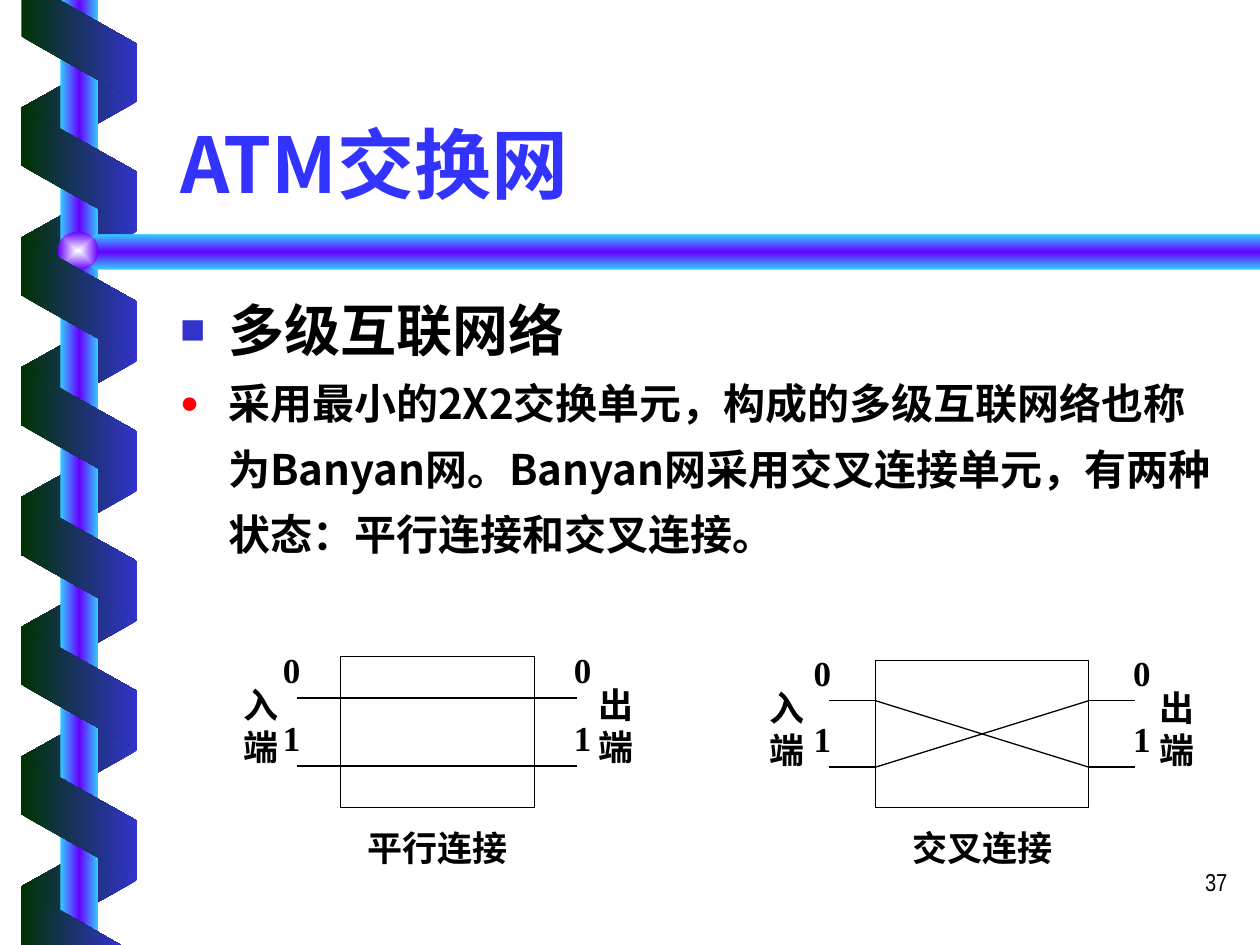
from dataclasses import dataclass

from pptx import Presentation
from pptx.dml.color import RGBColor
from pptx.enum.shapes import MSO_CONNECTOR, MSO_SHAPE
from pptx.enum.text import MSO_ANCHOR, MSO_AUTO_SIZE, PP_ALIGN
from pptx.oxml import parse_xml
from pptx.oxml.ns import nsdecls, qn
from pptx.util import Inches, Pt

RECT, OVAL = MSO_SHAPE.RECTANGLE, MSO_SHAPE.OVAL
SLANT = MSO_SHAPE.PARALLELOGRAM
STRAIGHT = MSO_CONNECTOR.STRAIGHT
LEFT, CENTER, RIGHT = PP_ALIGN.LEFT, PP_ALIGN.CENTER, PP_ALIGN.RIGHT
TOP, MIDDLE, BOTTOM = MSO_ANCHOR.TOP, MSO_ANCHOR.MIDDLE, MSO_ANCHOR.BOTTOM
FIXED = MSO_AUTO_SIZE.NONE


@dataclass(frozen=True)
class Theme:
    """Colours, fonts and type sizes of the slide."""
    ink: str = "000000"
    head: str = "3333FF"
    square: str = "3333CC"
    dot: str = "FF0000"
    strip: tuple = ("003300", "3333CC")
    pole: tuple = ("33CCFF", "6600FF", "33CCFF")
    ball: tuple = ("FEFFFF", "6600FF")
    sans: str = "Noto Sans CJK SC"
    serif: str = "Times New Roman"
    narrow: str = "Arial Narrow"
    title: int = 44
    topic: int = 32
    body: int = 24
    label: int = 20
    page: int = 14
    line: float = 0.75


THEME = Theme()


def style(para, size, face, color=THEME.ink, bold=True):
    """Format every run of a paragraph."""
    for run in para.runs:
        font = run.font
        font.size, font.bold, font.name = Pt(size), bold, face
        font.color.rgb = RGBColor.from_string(color)
        east = parse_xml(f'<a:ea {nsdecls("a")} typeface="{THEME.sans}"/>')
        run.font._element.find(qn("a:latin")).addnext(east)


def blend(shape, colors, angle=0, ray=False):
    """Fill a shape with evenly spaced gradient stops and no outline."""
    gap = 100000 // (len(colors) - 1)
    stops = "".join(f'<a:gs pos="{i * gap}"><a:srgbClr val="{c}"/></a:gs>'
                    for i, c in enumerate(colors))
    kind = f'<a:lin ang="{angle * 60000}" scaled="0"/>'
    if ray:
        kind = ('<a:path path="rect"><a:fillToRect l="50000" t="50000" '
                'r="50000" b="50000"/></a:path>')
    grad = parse_xml(f'<a:gradFill {nsdecls("a")} rotWithShape="0">'
                     f'<a:gsLst>{stops}</a:gsLst>{kind}</a:gradFill>')
    shape.shadow.inherit = False
    shape.line.fill.background()
    shape.fill.background()
    props = shape._element.spPr
    props.replace(props.find(qn("a:noFill")), grad)


def block(slide, kind, x, y, w, h):
    """Add a preset shape at a place given in inches."""
    return slide.shapes.add_shape(
        kind, Inches(x), Inches(y), Inches(w), Inches(h))


def outline(slide, points):
    """Add a closed outline through points given in inches."""
    spots = [(Inches(x), Inches(y)) for x, y in points]
    pen = slide.shapes.build_freeform(*spots[0])
    pen.add_line_segments(spots[1:], close=True)
    return pen.convert_to_shape()


def link(slide, x1, y1, x2, y2):
    """Draw a thin straight line."""
    line = slide.shapes.add_connector(
        STRAIGHT, Inches(x1), Inches(y1), Inches(x2), Inches(y2))
    line.line.color.rgb = RGBColor.from_string(THEME.ink)
    line.line.width = Pt(THEME.line)
    line._element.spPr.append(parse_xml(f'<a:effectLst {nsdecls("a")}/>'))


def label(slide, text, x, y, w, h):
    """Add a centred label without margins."""
    frame = slide.shapes.add_textbox(
        Inches(x), Inches(y), Inches(w), Inches(h)).text_frame
    frame.margin_left = frame.margin_right = 0
    frame.margin_top = frame.margin_bottom = 0
    frame.word_wrap, frame.vertical_anchor = True, MIDDLE
    frame.text = text
    para = frame.paragraphs[0]
    para.alignment = CENTER
    style(para, THEME.label, THEME.serif)


def place(shape, x, y, w, h, anchor):
    """Move a placeholder and fix its size and anchor."""
    shape.left, shape.top = Inches(x), Inches(y)
    shape.width, shape.height = Inches(w), Inches(h)
    frame = shape.text_frame
    frame.auto_size, frame.vertical_anchor = FIXED, anchor
    frame.word_wrap = True
    return frame


def helix(slide, x, y, w, h):
    """Draw the ribbon that winds around the pole, and the bar."""
    right, end, pitch, long = x + w, y + h, 1.03, 0.98
    side = x + (w - long) / 2

    def band(top, turn):
        strip = block(slide, SLANT, side, top, long, w)
        strip.adjustments[0] = 0.56
        strip.rotation = turn
        return strip

    for i in range(7):
        back = band(y + 0.37 + i * pitch, 90)
        back._element.spPr.xfrm.set("flipH", "1")
        blend(back, THEME.strip[::-1])
    blend(block(slide, RECT, x + 0.31, y, 0.3, h), THEME.pole)
    bar = outline(slide, [(10, 1.86), (0.76, 1.86), (0.6, 2),
                          (0.76, 2.14), (10, 2.14)])
    blend(bar, THEME.pole, 90)
    blend(block(slide, OVAL, x + 0.29, 1.84, 0.32, 0.3), THEME.ball, ray=True)
    for i in range(6):
        blend(band(y + 0.88 + i * pitch, 270), THEME.strip)
    tips = ([(x, y), (x, y + 0.29), (right, y + 0.81),
             (right, y + 0.35), (x + 0.3, y)],
            [(x + 0.79, end), (x, end - 0.45), (x, end)])
    for tip in tips:
        blend(outline(slide, tip), THEME.strip)


def heading(slide, x, y, w, h):
    """Fill the title."""
    frame = place(slide.shapes.title, x, y, w, h, BOTTOM)
    frame.text = "ATM交换网"
    para = frame.paragraphs[0]
    para.alignment = LEFT
    style(para, THEME.title, THEME.sans, THEME.head)


def points(slide, x, y, w, h):
    """Fill the bulleted list."""
    rows = [("多级互联网络", THEME.topic, 1.1, "■", THEME.square),
            ("采用最小的2X2交换单元，构成的多级互联网络也称为Banyan网。"
             "Banyan网采用交叉连接单元，有两种状态：平行连接和交叉连接。",
             THEME.body, 1.3, "●", THEME.dot)]
    frame = place(slide.placeholders[1], x, y, w, h, TOP)
    frame.text = "\n".join(row[0] for row in rows)
    for para, (_, size, space, mark, color) in zip(frame.paragraphs, rows):
        para.line_spacing, para.space_before = space, Pt(0)
        props = para._element.get_or_add_pPr()
        props.set("marL", str(Inches(0.38)))
        props.set("indent", str(-Inches(0.38)))
        for part in (f'<a:buClr {nsdecls("a")}><a:srgbClr val="{color}"/></a:buClr>',
                     f'<a:buSzPct {nsdecls("a")} val="75000"/>',
                     f'<a:buChar {nsdecls("a")} char="{mark}"/>'):
            props.append(parse_xml(part))
        style(para, size, THEME.sans)


def switch(slide, text, x, y, w, h, cross):
    """Draw a two by two switch with its ports and caption."""
    unit, stub, right = w / 6, 0.22 * w, x + w
    ports = [y + 0.275 * h, y + 0.725 * h]
    case = block(slide, RECT, x, y, w, h)
    case.shadow.inherit = False
    case.fill.background()
    case.line.color.rgb = RGBColor.from_string(THEME.ink)
    case.line.width = Pt(THEME.line)
    for i, port in enumerate(ports):
        if cross:
            link(slide, x - stub, port, x, port)
            link(slide, x, port, right, ports[1 - i])
            link(slide, right, port, right + stub, port)
        else:
            link(slide, x - stub, port, right + stub, port)
        for spot in (x - 2 * unit, right + unit):
            label(slide, str(i), spot, port - 0.39, unit, 0.33)
    for word, spot in (("入端", x - 3 * unit), ("出端", right + 2 * unit)):
        label(slide, word, spot, y + 0.21, unit, 0.67)
    label(slide, text, x, y + h + 0.15, w, 0.33)


def number(slide, x, y, w, h):
    """Write the page number."""
    frame = slide.shapes.add_textbox(
        Inches(x), Inches(y), Inches(w), Inches(h)).text_frame
    frame.word_wrap = True
    frame.text = "37"
    para = frame.paragraphs[0]
    para.alignment = RIGHT
    style(para, THEME.page, THEME.narrow, bold=False)


def main():
    """Build and save the slide."""
    deck = Presentation()
    deck.slide_width, deck.slide_height = Inches(10), Inches(7.5)
    slide = deck.slides.add_slide(deck.slide_layouts[1])
    helix(slide, 0.17, 0, 0.92, 7.5)
    heading(slide, 1.33, 0.46, 8.5, 1.25)
    points(slide, 1.33, 2.24, 8.5, 2.38)
    switch(slide, "平行连接", 2.7, 5.21, 1.54, 1.2, False)
    switch(slide, "交叉连接", 6.95, 5.24, 1.69, 1.17, True)
    number(slide, 7.76, 6.83, 2.08, 0.5)
    deck.save("out.pptx")


if __name__ == "__main__":
    main()
